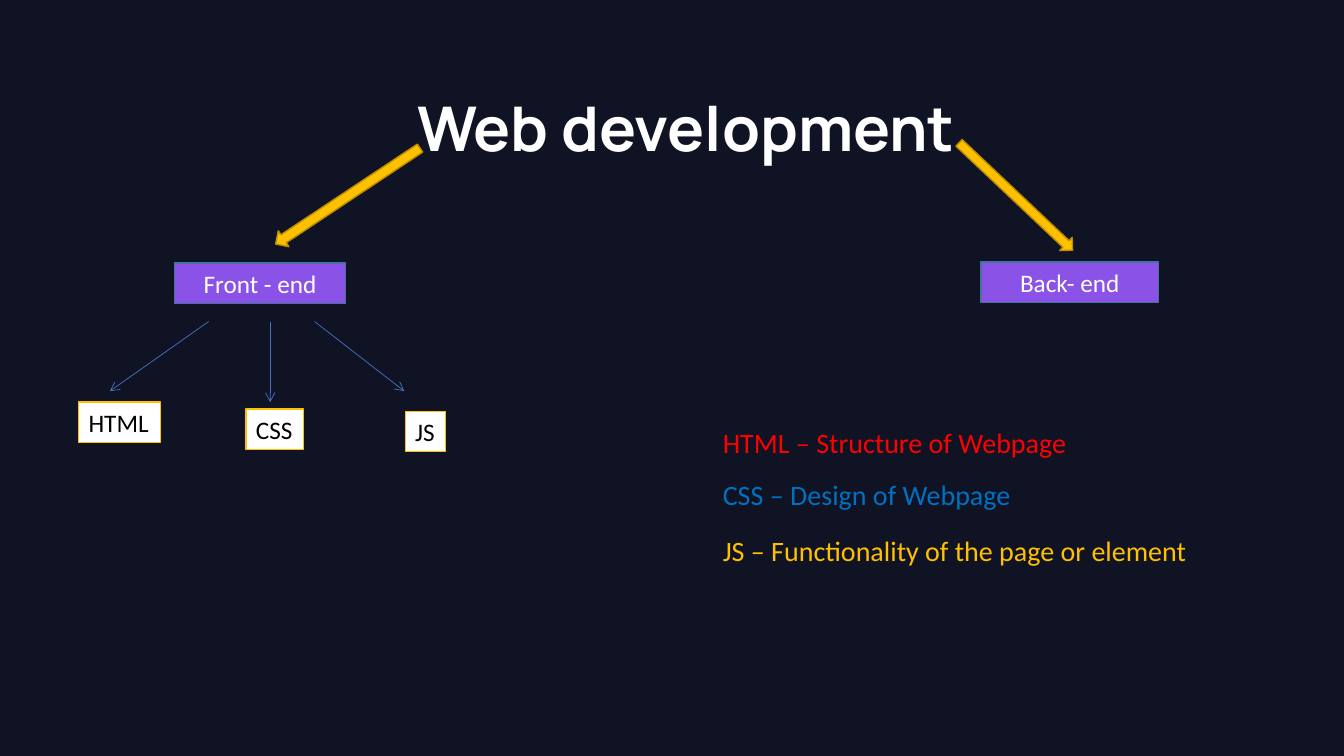
from dataclasses import dataclass

from lxml import etree
from pptx import Presentation
from pptx import util as u
from pptx.dml.color import RGBColor
from pptx.enum import shapes, text
from pptx.oxml.ns import qn


@dataclass(frozen=True)
class Theme:
    background: str = "101324"
    white: str = "FFFFFF"
    black: str = "000000"
    purple: str = "8A52E7"
    purple_edge: str = "43739E"
    gold: str = "FFC000"
    gold_edge: str = "BD8E00"
    blue: str = "4472C4"
    red: str = "FF0000"
    sky: str = "0070C0"
    heading_font: str = "Manrope"
    body_font: str = "Calibri"
    title_size: int = 44
    note_size: int = 20
    label_size: int = 18


PX = 9144
theme = Theme()


def add_block(kind, box, fill, edge):
    sp = slide.shapes.add_shape(kind, *[n * PX for n in box])
    sp.shadow.inherit = False
    sp.fill.solid()
    sp.fill.fore_color.rgb = RGBColor.from_string(fill)
    sp.line.color.rgb = RGBColor.from_string(edge)
    sp.line.width = u.Pt(1)
    return sp


def write(sp, words, size, color, font=theme.body_font, align=text.PP_ALIGN.LEFT, wrap=True):
    tf = sp.text_frame
    tf.word_wrap = wrap
    tf.auto_size = text.MSO_AUTO_SIZE.SHAPE_TO_FIT_TEXT
    p = tf.paragraphs[0]
    p.text = words
    p.alignment = align
    p.font.name = font
    p.font.size = u.Pt(size)
    p.font.color.rgb = RGBColor.from_string(color)
    return p


prs = Presentation()
prs.slide_width = 1333 * PX
prs.slide_height = 750 * PX
slide = prs.slides.add_slide(prs.slide_layouts[6])
slide.background.fill.solid()
slide.background.fill.fore_color.rgb = RGBColor.from_string(theme.background)

title = slide.shapes.add_textbox(343 * PX, 84 * PX, 675 * PX, 84 * PX)
p = write(title, "Web development", theme.title_size, theme.white,
          theme.heading_font, text.PP_ALIGN.CENTER)
p.font.bold = True

for box, angle in [((930, 186, 155, 18), 43.4), ((259, 185, 172, 19), 146.4)]:
    arrow = add_block(shapes.MSO_SHAPE.RIGHT_ARROW, box, theme.gold, theme.gold_edge)
    arrow.rotation = angle

for words, box in [("Front - end", (173, 261, 170, 40)), ("Back- end", (973, 260, 176, 40))]:
    side = add_block(shapes.MSO_SHAPE.RECTANGLE, box, theme.purple, theme.purple_edge)
    write(side, words, theme.label_size, theme.white, align=text.PP_ALIGN.CENTER)

branches = [
    ("HTML", (78, 399, 81, 40), (207, 319, 109, 388)),
    ("CSS", (244, 406, 57, 40), (268, 319, 268, 399)),
    ("JS", (402, 408, 40, 40), (312, 319, 401, 388)),
]
for words, box, ends in branches:
    line = slide.shapes.add_connector(shapes.MSO_CONNECTOR.STRAIGHT, *[n * PX for n in ends])
    line.line.color.rgb = RGBColor.from_string(theme.blue)
    line.line.width = u.Pt(0.5)
    etree.SubElement(line.line._get_or_add_ln(), qn("a:tailEnd"), type="arrow")
    etree.SubElement(line._element.spPr, qn("a:effectLst"))
    language = add_block(shapes.MSO_SHAPE.RECTANGLE, box, theme.white, theme.gold)
    write(language, words, theme.label_size, theme.black, wrap=False)

notes = [
    ("HTML – Structure of Webpage", 417, theme.red),
    ("CSS – Design of Webpage", 469, theme.sky),
    ("JS – Functionality of the page or element", 524, theme.gold),
]
for words, top, color in notes:
    note = slide.shapes.add_textbox(707 * PX, top * PX, 488 * PX, 44 * PX)
    write(note, words, theme.note_size, color)

prs.save("out.pptx")
